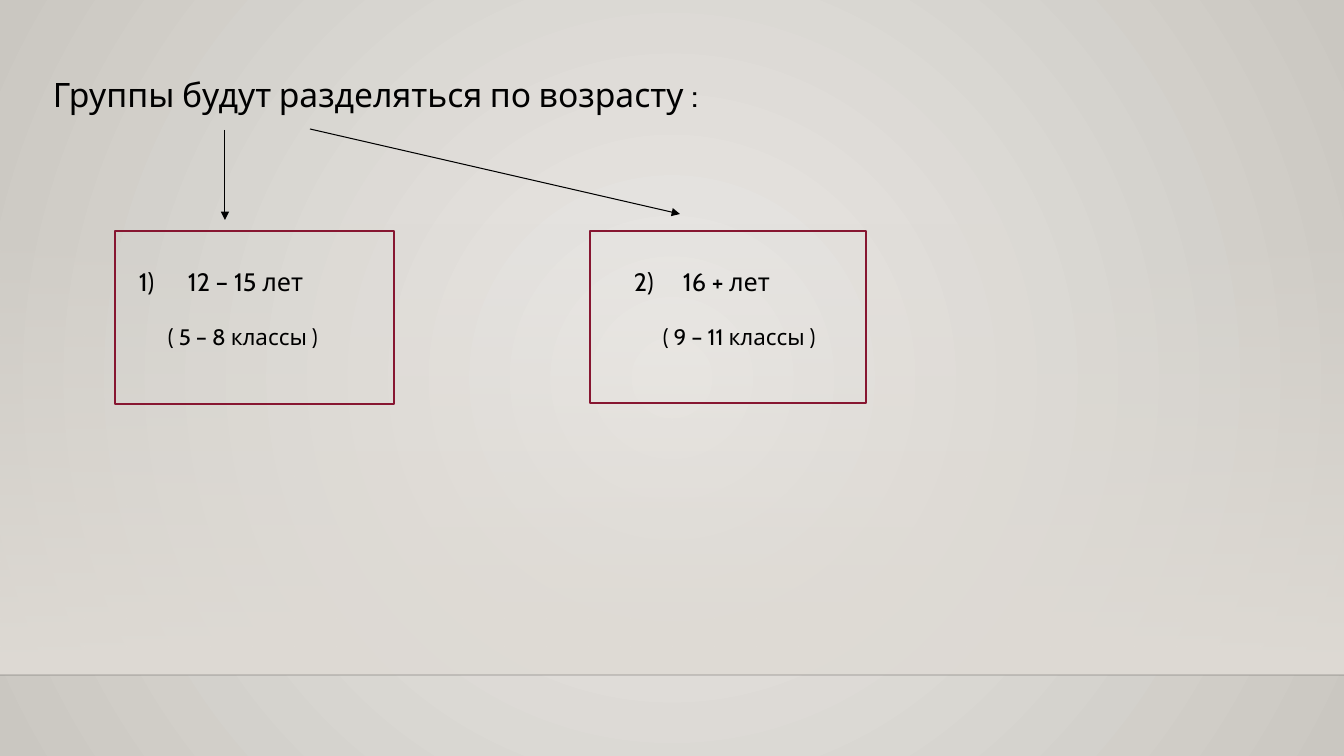
from collections import namedtuple
from dataclasses import dataclass

from lxml.etree import SubElement
from pptx import Presentation
from pptx.dml.color import RGBColor
from pptx.enum.shapes import MSO_CONNECTOR, MSO_SHAPE
from pptx.enum.text import MSO_AUTO_SIZE
from pptx.oxml.ns import qn
from pptx.util import Emu, Pt

SCALE = 914400 / 100.8
Box = namedtuple("Box", "left top width height")


@dataclass(frozen=True)
class Theme:
    font: str = "Cabin"
    ink: str = "000000"
    frame: str = "871631"
    glow: str = "ECEAE7"
    edge: str = "CAC7C1"
    wall: str = "DFDBD5"
    floor_line: str = "000001"
    title_size: float = 24
    age_size: float = 18
    grade_size: float = 16
    frame_width: float = 1.25
    arrow_width: float = 0.75
    floor_width: float = 1


THEME = Theme()


def px(value):
    return Emu(round(value * SCALE))


def add_node(parent, tag, **values):
    return SubElement(parent, qn(tag), {key: str(value) for key, value in values.items()})


def apply(target, formats):
    for name, value in formats.items():
        setattr(target, name, value)


def set_gradient(fill, owner, stops):
    fill.gradient()
    gradient = owner.find(".//" + qn("a:gradFill"))
    for child in list(gradient):
        gradient.remove(child)
    stop_list = add_node(gradient, "a:gsLst")
    for position, color, alpha in stops:
        stop = add_node(stop_list, "a:gs", pos=position * 1000)
        node = add_node(stop, "a:srgbClr", val=color)
        add_node(node, "a:alpha", val=alpha * 1000)
    return gradient


def add_line(page, start, end, color, width):
    line = page.shapes.add_connector(
        MSO_CONNECTOR.STRAIGHT, *(px(value) for value in (*start, *end)))
    line.line.color.rgb = RGBColor.from_string(color)
    line.line.width = Pt(width)
    add_node(line.element.spPr, "a:effectLst")
    return line


def add_rectangle(page, box):
    shape = page.shapes.add_shape(MSO_SHAPE.RECTANGLE, *(px(value) for value in box))
    shape.shadow.inherit = False
    return shape


def add_text(page, box, lines, spacing=1):
    frame = page.shapes.add_textbox(*(px(value) for value in box)).text_frame
    apply(frame, {"word_wrap": True, "auto_size": MSO_AUTO_SIZE.SHAPE_TO_FIT_TEXT})
    for index, (text, size) in enumerate(lines):
        para = frame.add_paragraph() if index else frame.paragraphs[0]
        para.line_spacing = spacing
        span = para.add_run()
        span.text = text
        apply(span.font, {"name": THEME.font, "size": Pt(size)})
        span.font.color.rgb = RGBColor.from_string(THEME.ink)
    return frame


def add_backdrop(page, box):
    gradient = set_gradient(page.background.fill, page.element,
                            [(0, THEME.glow, 100), (100, THEME.edge, 100)])
    circle = add_node(gradient, "a:path", path="circle")
    add_node(circle, "a:fillToRect", l=50000, t=50000, r=50000, b=50000)

    floor = box.top + 675
    wall = add_rectangle(page, Box(box.left, floor - 452, box.width, 452))
    wall.line.fill.background()
    gradient = set_gradient(wall.fill, wall.element,
                            [(0, THEME.wall, 0), (100, THEME.wall, 100)])
    add_node(gradient, "a:lin", ang=5400000, scaled=0)

    line = add_line(page, (box.left, floor), (box.left + box.width, floor),
                    THEME.floor_line, THEME.floor_width)
    color = line.element.find(".//" + qn("a:srgbClr"))
    add_node(color, "a:alpha", val=20000)


def add_title(page, box):
    add_text(page, box, [("Группы будут разделяться по возрасту :", THEME.title_size)])


def add_group(page, box, number, age, grades, text_left, text_width):
    text_box = Box(box.left + text_left, box.top, text_width, 123)
    frame = add_text(page, text_box,
                     [(age, THEME.age_size), (grades, THEME.grade_size)], spacing=2)
    age_para, grade_para = (para._p.get_or_add_pPr() for para in frame.paragraphs)
    age_para.set("marL", str(px(49)))
    age_para.set("indent", str(px(-49)))
    add_node(age_para, "a:buFont", typeface=THEME.font)
    add_node(age_para, "a:buAutoNum", type="arabicParenR", startAt=number)
    grade_para.set("marL", str(px(29)))
    grade_para.set("indent", "0")

    outline = add_rectangle(page, box)
    outline.fill.background()
    outline.line.color.rgb = RGBColor.from_string(THEME.frame)
    outline.line.width = Pt(THEME.frame_width)


def add_arrow(page, start, end):
    arrow = add_line(page, start, end, THEME.ink, THEME.arrow_width)
    add_node(arrow.element.spPr.find(qn("a:ln")), "a:tailEnd", type="triangle")


def build():
    deck = Presentation()
    apply(deck, {"slide_width": px(1344), "slide_height": px(756)})
    page = deck.slides.add_slide(deck.slide_layouts[6])
    add_backdrop(page, Box(0, 0, 1344, 756))
    add_title(page, Box(43, 69, 672, 50))
    add_group(page, Box(115, 231, 279, 173), 1, "12 – 15 лет", "( 5 – 8 классы )", 14, 672)
    add_group(page, Box(590, 231, 276, 172), 2, "16 + лет", "( 9 – 11 классы )", 34, 229)
    add_arrow(page, (225, 130), (225, 220))
    add_arrow(page, (310, 129), (680, 214))
    deck.save("out.pptx")


build()
